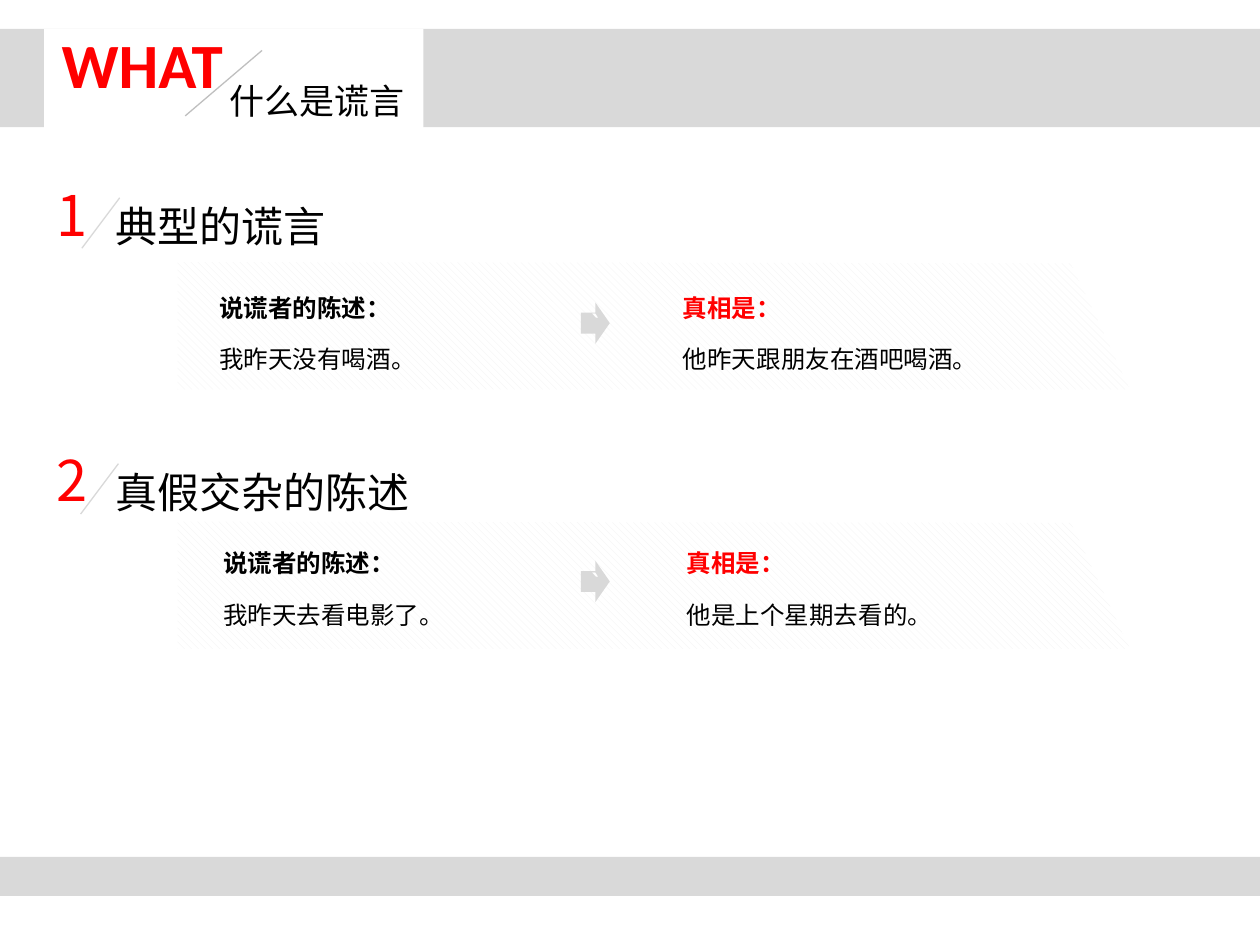
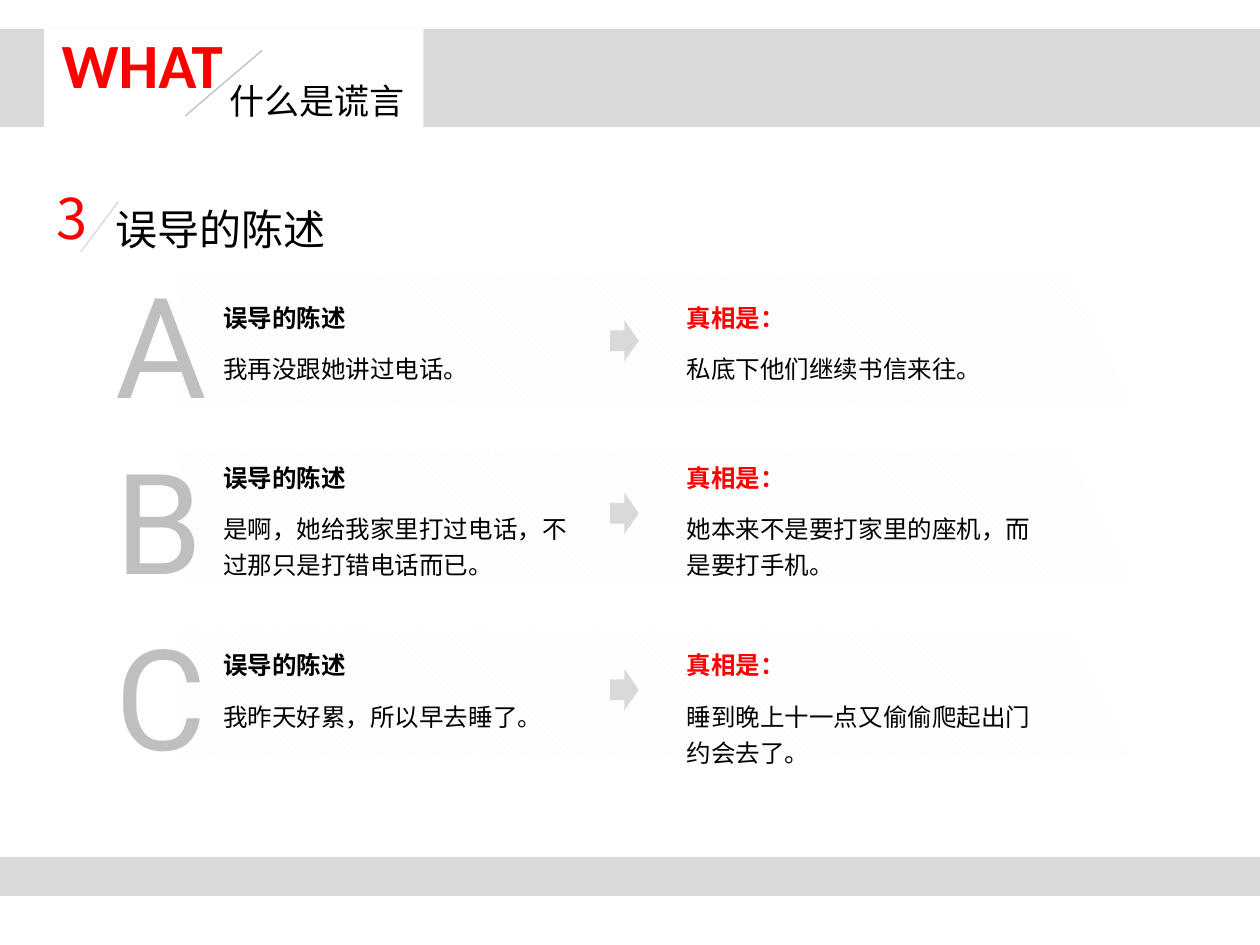
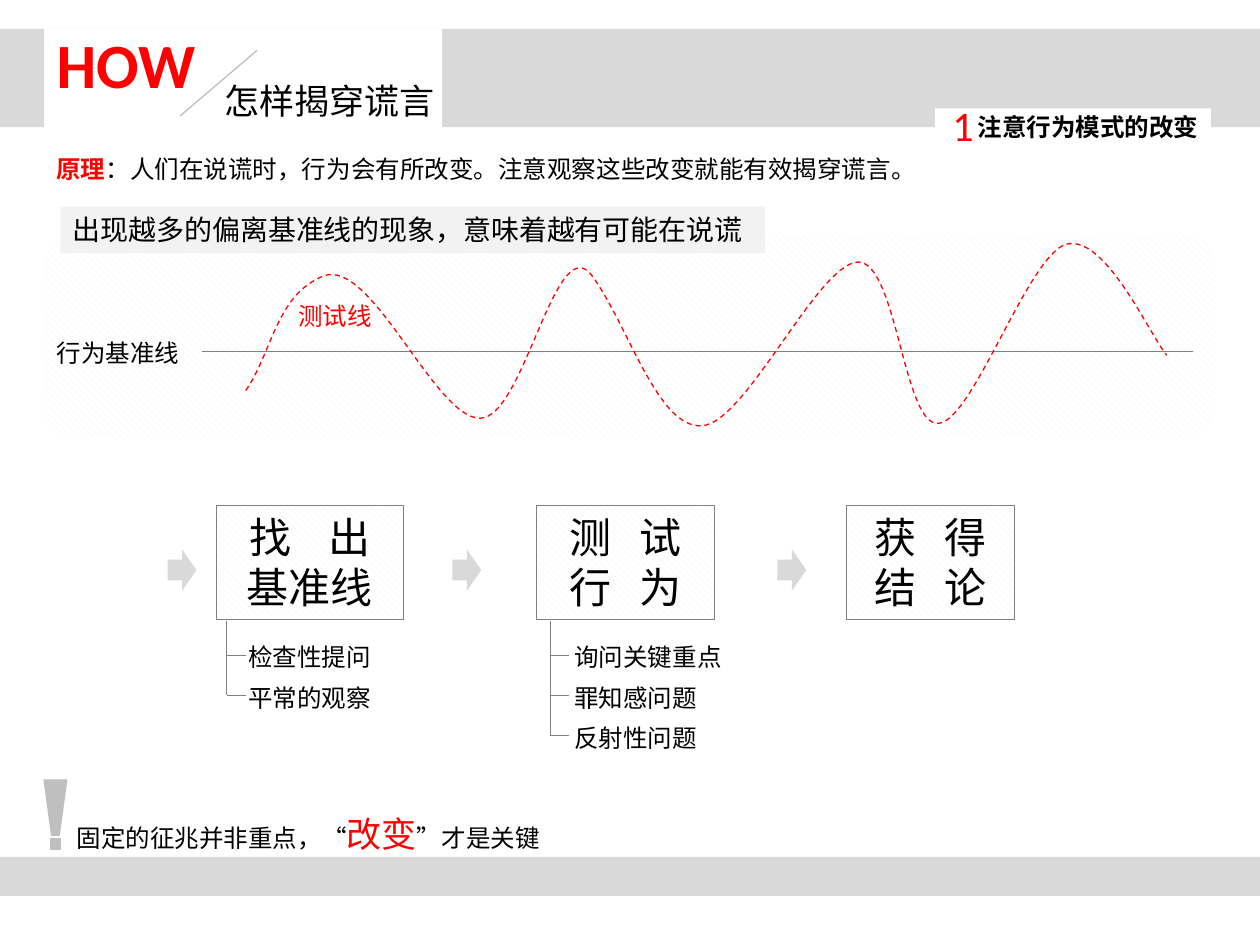
import pptx
import pptx.dml.color
import pptx.enum.dml
import pptx.enum.shapes
import pptx.enum.text
import pptx.oxml.ns
import pptx.util
from lxml import etree

Inches = pptx.util.Inches
SHAPE = pptx.enum.shapes.MSO_SHAPE
ALIGN = pptx.enum.text.PP_ALIGN
qn = pptx.oxml.ns.qn

COLORS = {
    "red": "FF0000",
    "black": "000000",
    "white": "FFFFFF",
    "band": "D9D9D9",
    "hatch": "F2F2F2",
    "silver": "BFBFBF",
    "line": "808080",
}
CJK = "Noto Sans CJK SC"
LATIN = "Calibri"
PLAIN_TABLE = "{2D5ABB26-0587-4C30-8999-92F81FD0307C}"


def rgb(name):
    return pptx.dml.color.RGBColor.from_string(COLORS[name])


def style(font, size, color, bold=False, name=CJK):
    font.size = pptx.util.Pt(size)
    font.bold = bold
    font.color.rgb = rgb(color)
    font.name = name
    etree.SubElement(font._element, qn("a:ea"), typeface=name)


def paint(sp, fill=None, line=None):
    sp.shadow.inherit = False
    if fill == "hatched":
        sp.fill.patterned()
        sp.fill.pattern = pptx.enum.dml.MSO_PATTERN.WIDE_DOWNWARD_DIAGONAL
        sp.fill.fore_color.rgb = rgb("hatch")
        sp.fill.back_color.rgb = rgb("white")
    elif fill:
        sp.fill.solid()
        sp.fill.fore_color.rgb = rgb(fill)
    else:
        sp.fill.background()
    if line:
        sp.line.color.rgb = rgb(line)
        sp.line.width = pptx.util.Pt(0.75)
    else:
        sp.line.fill.background()


def add_box(s, x, y, w, h, fill, line=None, kind=SHAPE.RECTANGLE):
    sp = s.shapes.add_shape(kind, Inches(x), Inches(y), Inches(w), Inches(h))
    paint(sp, fill, line)
    return sp


def add_polygon(s, points, fill=None, line=None, close=True):
    points = [(Inches(x), Inches(y)) for x, y in points]
    builder = s.shapes.build_freeform(*points[0])
    builder.add_line_segments(points[1:], close=close)
    sp = builder.convert_to_shape()
    paint(sp, fill, line)
    return sp


def add_curve(s, points, line):
    sp = add_polygon(s, points, line=line, close=False)
    outline = next(sp._element.iter(qn("a:path")))
    corners = outline.findall(qn("a:lnTo"))
    for i in range(0, len(corners), 3):
        bezier = etree.SubElement(outline, qn("a:cubicBezTo"))
        for corner in corners[i:i + 3]:
            bezier.append(corner[0])
            outline.remove(corner)
    return sp


def add_line(s, x1, y1, x2, y2, color):
    line = s.shapes.add_connector(
        pptx.enum.shapes.MSO_CONNECTOR.STRAIGHT,
        Inches(x1), Inches(y1), Inches(x2), Inches(y2))
    line.line.color.rgb = rgb(color)
    line.line.width = pptx.util.Pt(0.75)
    etree.SubElement(line._element.spPr, qn("a:effectLst"))


def set_text(tf, text, size, color="black", bold=False, name=CJK):
    p = tf.paragraphs[0]
    p.text = text
    style(p.font, size, color, bold, name)
    return p


def add_text_box(s, x, y, w, h):
    sp = s.shapes.add_textbox(Inches(x), Inches(y), Inches(w), Inches(h))
    tf = sp.text_frame
    tf.word_wrap = False
    tf.auto_size = pptx.enum.text.MSO_AUTO_SIZE.SHAPE_TO_FIT_TEXT
    return tf


def add_text(s, x, y, w, h, text, size, color="black", bold=False, name=CJK):
    tf = add_text_box(s, x, y, w, h)
    set_text(tf, text, size, color, bold, name)
    return tf


def add_mixed_text(s, x, y, w, h, runs):
    p = add_text_box(s, x, y, w, h).paragraphs[0]
    for text, size, color, bold in runs:
        r = p.add_run()
        r.text = text
        style(r.font, size, color, bold)


def add_middle_text(s, x, y, w, h, text, size, align, bold=False):
    tf = add_text(s, x, y, w, h, text, size, "red", bold, LATIN)
    tf.word_wrap = True
    tf.auto_size = pptx.enum.text.MSO_AUTO_SIZE.NONE
    tf.vertical_anchor = pptx.enum.text.MSO_ANCHOR.MIDDLE
    tf.paragraphs[0].alignment = align


def add_frame(prs, word, title, x, card_w, title_w):
    s = prs.slides.add_slide(prs.slide_layouts[6])
    add_box(s, 0, 0.23, 10, 0.78, "band")
    add_box(s, 0.35, 0.23, card_w, 0.86, "white")
    add_box(s, 0, 6.8, 10, 0.31, "band")
    add_middle_text(s, x, 0, 1.48, 1, word, 36, ALIGN.JUSTIFY, True)
    add_line(s, x + 1.69, 0.4, x + 1.08, 0.92, "silver")
    add_text(s, x + 1.33, 0.58, title_w, 0.44, title, 20)
    return s


def add_what_frame(prs):
    return add_frame(prs, "WHAT", "什么是谎言", 0.39, 3.01, 1.6)


def add_section(s, y, number, title, title_w, slash_x=0.64):
    add_text(s, 0.82, y, title_w, 0.5, title, 24)
    add_text(s, 0.35, y - 0.16, 0.46, 0.64, number, 32, "red")
    add_line(s, slash_x + 0.3, y + 0.03, slash_x, y + 0.43, "band")


def add_arrow(s, x, y, mark=None):
    sp = add_box(s, x, y, 0.23, 0.33, "band", kind=SHAPE.RIGHT_ARROW)
    if mark:
        tf = sp.text_frame
        tf.vertical_anchor = pptx.enum.text.MSO_ANCHOR.MIDDLE
        set_text(tf, mark, 18, "white", name=LATIN).alignment = ALIGN.CENTER


def add_panel(s, y):
    add_polygon(s, [(1.41, y), (8.5, y + 0.01), (8.97, y + 1.01),
                    (1.41, y + 1.01)], "hatched")


def add_statements(s, x, y, heading, claim, truth):
    frame = s.shapes.add_table(
        2, 3, Inches(x), Inches(y), Inches(6.67), Inches(0.82))
    table = frame.table
    table._tbl.tblPr.find(qn("a:tableStyleId")).text = PLAIN_TABLE
    table.first_row = False
    table.horz_banding = False
    for column, w in zip(table.columns, (3.05, 0.63, 2.99)):
        column.width = Inches(w)
    for row in table.rows:
        row.height = Inches(0.41)
        for cell in row.cells:
            cell.fill.background()
    table.cell(0, 1).merge(table.cell(1, 1))
    entries = [
        (0, 0, heading, "black", True),
        (0, 2, "真相是：", "red", True),
        (1, 0, claim, "black", False),
        (1, 2, truth, "black", False),
    ]
    for row, col, text, color, bold in entries:
        set_text(table.cell(row, col).text_frame, text, 14, color, bold)


def add_step(s, x, w, lines, spacing):
    sp = add_box(s, x, 4.01, w, 0.91, "hatched", "line")
    tf = sp.text_frame
    tf.vertical_anchor = pptx.enum.text.MSO_ANCHOR.TOP
    for i, line in enumerate(lines):
        p = tf.paragraphs[0] if i == 0 else tf.add_paragraph()
        p.alignment = ALIGN.CENTER
        head, gap, tail = line.partition(" ")
        r = p.add_run()
        r.text = head + gap
        if gap:
            r.font._element.set("spc", str(spacing))
            p.add_run().text = tail
        style(p.font, 24, "black")


def add_branches(s, x, label_x, labels):
    first, step = 5.2, 0.32
    add_line(s, x, 4.93, x, first + step * (len(labels) - 1), "line")
    for i, label in enumerate(labels):
        y = first + step * i
        add_line(s, x, y, x + 0.15, y, "line")
        add_text(s, label_x, y - 0.15, 0.2 + 0.196 * len(label), 0.34, label, 14)


def add_test_wave(s):
    points = [
        (1.95, 3.1),
        (2.16, 2.8), (2.19, 2.34), (2.57, 2.19),
        (2.95, 2.05), (3.45, 3.32), (3.81, 3.32),
        (4.16, 3.32), (4.41, 1.8), (4.7, 2.19),
        (4.99, 2.59), (5.22, 3.4), (5.57, 3.38),
        (5.92, 3.36), (6.49, 2.09), (6.81, 2.08),
        (7.12, 2.08), (7.17, 3.39), (7.45, 3.36),
        (7.72, 3.34), (8.16, 2.03), (8.46, 1.94),
        (8.77, 1.85), (9.13, 2.67), (9.26, 2.82),
    ]
    wave = add_curve(s, points, "red")
    wave.line.dash_style = pptx.enum.dml.MSO_LINE.DASH


def build_typical_lies(prs):
    s = add_what_frame(prs)
    add_section(s, 1.54, "1", "典型的谎言", 1.88, 0.65)
    add_section(s, 3.65, "2", "真假交杂的陈述", 2.56)
    rows = [
        (2.08, 1.64, 2.24, 2.4, "我昨天没有喝酒。", "他昨天跟朋友在酒吧喝酒。"),
        (4.14, 1.67, 4.27, 4.45, "我昨天去看电影了。", "他是上个星期去看的。"),
    ]
    for panel_y, table_x, table_y, arrow_y, claim, truth in rows:
        add_panel(s, panel_y)
        add_statements(s, table_x, table_y, "说谎者的陈述：", claim, truth)
        add_arrow(s, 4.61, arrow_y, "`")


def build_misleading(prs):
    s = add_what_frame(prs)
    add_section(s, 1.57, "3", "误导的陈述", 1.88)
    rows = [
        ("A", 0.98, 2.19, 2.32, 2.54,
         "我再没跟她讲过电话。", "私底下他们继续书信来往。"),
        ("B", 0.92, 3.58, 3.59, 3.91,
         "是啊，她给我家里打过电话，不过那只是打错电话而已。",
         "她本来不是要打家里的座机，而是要打手机。"),
        ("C", 0.92, 5, 5.08, 5.31,
         "我昨天好累，所以早去睡了。",
         "睡到晚上十一点又偷偷爬起出门约会去了。"),
    ]
    for i, (letter, w, panel_y, table_y, arrow_y, claim, truth) in enumerate(rows):
        add_panel(s, panel_y)
        add_statements(s, 1.67, table_y, "误导的陈述", claim, truth)
        add_arrow(s, 4.84, arrow_y)
        add_text(s, 0.82, 2 + 1.4 * i, w, 1.45, letter, 80, "silver", name="Roboto")


def build_how(prs):
    s = add_frame(prs, "HOW", "怎样揭穿谎言", 0.35, 3.16, 1.88)
    add_box(s, 7.42, 0.86, 2.19, 1.31, "white")
    panel = add_box(s, 0.35, 1.87, 9.29, 1.6, "hatched",
                    kind=SHAPE.ROUNDED_RECTANGLE)
    panel.adjustments[0] = 0.14
    add_text(s, 7.66, 0.84, 1.97, 0.34, "注意行为模式的改变", 14, bold=True)
    add_middle_text(s, 7.46, 0.74, 0.31, 0.5, "1", 24, ALIGN.CENTER)
    add_mixed_text(s, 0.35, 1.17, 7.07, 0.34, [
        ("原理", 14, "red", True),
        ("：人们在说谎时，行为会有所改变。注意观察这些改变就能有效揭穿谎言。",
         14, "black", False),
    ])

    add_line(s, 1.6, 2.79, 9.47, 2.79, "line")
    add_text(s, 0.35, 2.63, 1.18, 0.34, "行为基准线", 14)
    add_test_wave(s)
    add_text(s, 2.27, 2.34, 0.79, 0.34, "测试线", 14, "red")
    banner = add_box(s, 0.48, 1.64, 5.59, 0.37, "hatch")
    banner.text_frame.word_wrap = False
    banner.text_frame.vertical_anchor = pptx.enum.text.MSO_ANCHOR.TOP
    p = set_text(banner.text_frame,
                 "出现越多的偏离基准线的现象，意味着越有可能在说谎", 16)
    p.alignment = ALIGN.LEFT

    steps = [
        (1.33, 1.72, 1.48, ("找 出", "基准线"), 800),
        (3.59, 4.26, 1.41, ("测 试", "行 为"), 540),
        (6.17, 6.72, 1.33, ("获 得", "结 论"), 540),
    ]
    for arrow_x, x, w, lines, spacing in steps:
        add_arrow(s, arrow_x, 4.36)
        add_step(s, x, w, lines, spacing)
    add_branches(s, 1.8, 1.87, ["检查性提问", "平常的观察"])
    add_branches(s, 4.37, 4.46, ["询问关键重点", "罪知感问题", "反射性问题"])

    add_polygon(s, [(0.35, 6.19), (0.53, 6.19), (0.47, 6.63), (0.41, 6.63)],
                "silver", "silver")
    add_box(s, 0.4, 6.66, 0.08, 0.08, "silver", "silver")
    add_mixed_text(s, 0.51, 6.4, 3.9, 0.44, [
        ("固定的征兆并非重点，“", 14, "black", False),
        ("改变", 20, "red", False),
        ("”才是关键", 14, "black", False),
    ])


def main():
    prs = pptx.Presentation()
    prs.slide_width = Inches(10)
    prs.slide_height = Inches(7.5)
    build_typical_lies(prs)
    build_misleading(prs)
    build_how(prs)
    prs.save("out.pptx")


if __name__ == "__main__":
    main()
